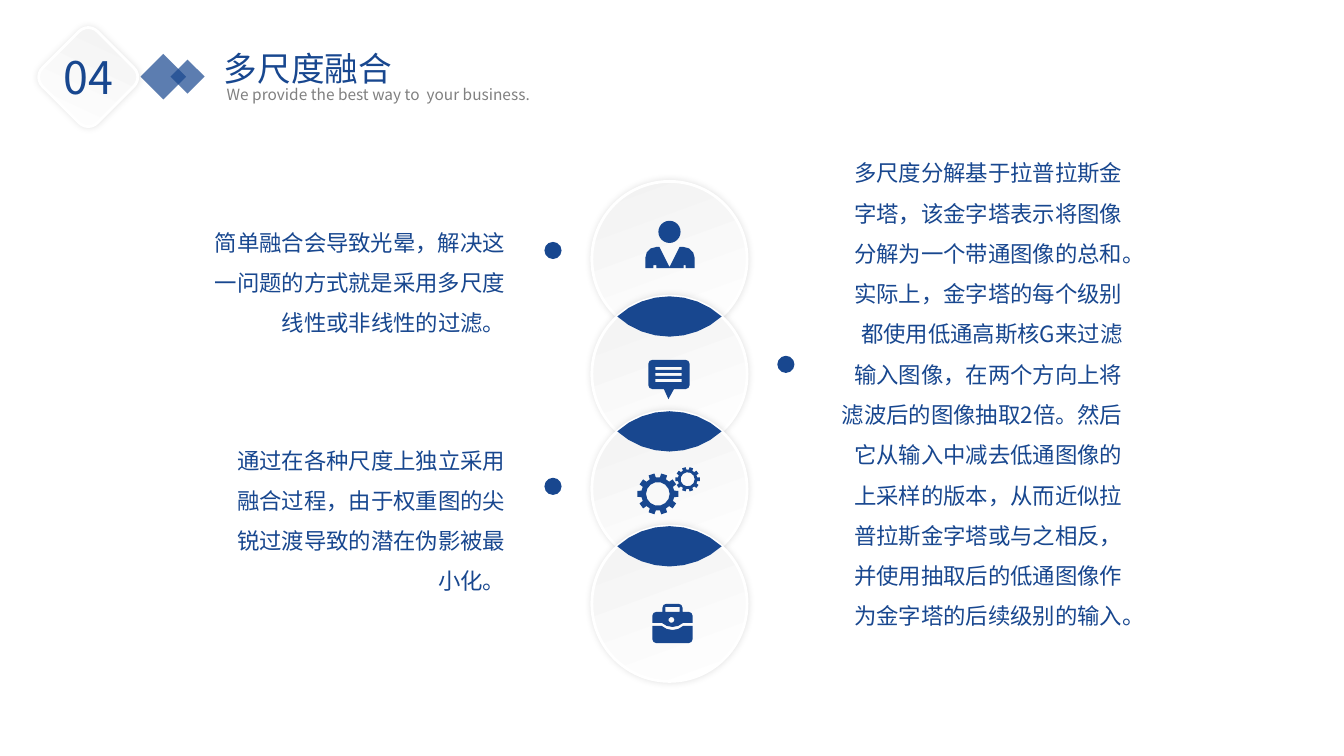
import math
import lxml.etree
import pptx
import pptx.util
import pptx.dml.color
import pptx.enum.shapes
import pptx.enum.text
import pptx.oxml.ns

PX = 9144
FINE = 100
FONT = "Noto Sans CJK SC"
BLUE = pptx.dml.color.RGBColor(0x18, 0x47, 0x8F)
GREY = pptx.dml.color.RGBColor(0x80, 0x80, 0x80)
PALE = pptx.dml.color.RGBColor(0xF2, 0xF2, 0xF2)
WHITE = pptx.dml.color.RGBColor(0xFF, 0xFF, 0xFF)
OVAL = pptx.enum.shapes.MSO_SHAPE.OVAL
SQUARE = pptx.enum.shapes.MSO_SHAPE.RECTANGLE
ROUNDED = pptx.enum.shapes.MSO_SHAPE.ROUNDED_RECTANGLE
LEFT = pptx.enum.text.PP_ALIGN.LEFT
RIGHT = pptx.enum.text.PP_ALIGN.RIGHT


def arc(x, y, radius, start, end):
    steps = max(2, round(abs(end - start) * math.sqrt(radius) / 90))
    angles = [math.radians(start + (end - start) * i / steps) for i in range(steps + 1)]
    return [(x + radius * math.cos(a), y + radius * math.sin(a)) for a in angles]


def draw(shapes, *contours):
    fine = [[(x * FINE, y * FINE) for x, y in contour] for contour in contours]
    builder = shapes.build_freeform(*fine[0][0], scale=PX / FINE)
    builder.add_line_segments(fine[0][1:], close=True)
    for hole in fine[1:]:
        builder.move_to(*hole[0])
        builder.add_line_segments(hole[1:], close=True)
    return builder.convert_to_shape()


deck = pptx.Presentation()
deck.slide_width = 1333 * PX
deck.slide_height = 750 * PX
slide = deck.slides.add_slide(deck.slide_layouts[5])
raised = []
flat = []

MIDDLE, RADIUS, STEP = 664, 77, 114
cross = math.degrees(math.asin(STEP / 2 / RADIUS))
for i in range(4):
    y = 257 + STEP * i
    raised.append(slide.shapes.add_shape(
        OVAL, (MIDDLE - RADIUS) * PX, (y - RADIUS) * PX, 2 * RADIUS * PX, 2 * RADIUS * PX))
    if i > 0:
        lens = arc(MIDDLE, y, RADIUS, cross - 180, -cross)
        lens += arc(MIDDLE, y - STEP, RADIUS, cross, 180 - cross)[1:-1]
        flat.append(draw(slide.shapes, lens))

person = slide.shapes.add_group_shape().shapes
flat.append(person.add_shape(OVAL, 653 * PX, 219 * PX, 22 * PX, 22 * PX))
suit = [(648, 266), (648, 263), (651, 263), (651, 266), (678, 266), (678, 263),
        (680, 263), (680, 266), (689, 266)]
suit += arc(678, 256, 11, 0, -90) + [(674, 245), (664, 265), (654, 245)]
suit += arc(651, 256, 11, 270, 180) + [(640, 266)]
flat.append(draw(person, suit))

gears = slide.shapes.add_group_shape().shapes
for x, y, tip, root, hub in [(652.5, 490, 20.5, 16.5, 11.7), (682, 475.5, 12.2, 9.7, 7)]:
    teeth = []
    for tooth in range(0, 360, 36):
        for turn, reach in [(-11, root), (-8.5, tip), (8.5, tip), (11, root)]:
            angle = math.radians(tooth + turn)
            teeth.append((x + reach * math.cos(angle), y + reach * math.sin(angle)))
    flat.append(draw(gears, teeth, arc(x, y, hub, 360, 0)))

briefcase = slide.shapes.add_group_shape().shapes
base = arc(667, 609, 16, 132, 48) + [(687, 621)]
base += arc(683, 634, 4, 0, 90) + arc(651, 634, 4, 90, 180) + [(647, 621)]
lid = [(647, 618)] + arc(651, 611, 4, 180, 270) + [(657, 607)]
lid += arc(661, 603, 4, 180, 270) + arc(673, 603, 4, 270, 360) + [(677, 607)]
lid += arc(683, 611, 4, 270, 360) + [(687, 618)] + arc(667, 606, 16, 48, 132)
handle = [(660, 602), (660, 607), (674, 607), (674, 602)]
flat.append(draw(briefcase, base))
flat.append(draw(briefcase, lid, handle, arc(666, 615, 3, 360, 0)))

message = slide.shapes.add_group_shape().shapes
flat.append(draw(message, [(663, 396), (658, 385), (669, 385)]))
bubble = arc(647, 361, 4, 180, 270) + arc(680, 361, 4, 270, 360)
bubble += arc(680, 382, 4, 0, 90) + arc(647, 382, 4, 90, 180)
rows = [[(650, y), (650, y + 3), (676, y + 3), (676, y)] for y in (364, 370, 376)]
flat.append(draw(message, bubble, *rows))

for x, y in [(540, 240), (771, 353), (540, 474)]:
    flat.append(slide.shapes.add_shape(OVAL, x * PX, y * PX, 17 * PX, 17 * PX))

diamonds = []
for x, y, side in [(146, 60, 32), (174, 64, 24)]:
    diamond = slide.shapes.add_shape(SQUARE, x * PX, y * PX, side * PX, side * PX)
    diamond.rotation = 225
    diamonds.append(diamond)

badge = slide.shapes.add_shape(ROUNDED, 49 * PX, 38 * PX, 77 * PX, 77 * PX)
badge.rotation = 45
raised.append(badge)

for shape in flat + diamonds:
    shape.shadow.inherit = False
    shape.fill.solid()
    shape.fill.fore_color.rgb = BLUE
    shape.line.fill.background()

for diamond in diamonds:
    tint = diamond._element.spPr.find(".//" + pptx.oxml.ns.qn("a:srgbClr"))
    lxml.etree.SubElement(tint, pptx.oxml.ns.qn("a:alpha"), val="70000")

for shape in raised:
    shape.fill.gradient()
    shape.fill.gradient_angle = 110
    for stop, colour in zip(shape.fill.gradient_stops, (WHITE, PALE)):
        stop.color.rgb = colour
    shape.line.color.rgb = WHITE
    shape.line.width = pptx.util.Pt(2)
    shape.shadow.inherit = False
    effects = shape._element.spPr.find(pptx.oxml.ns.qn("a:effectLst"))
    glow = lxml.etree.SubElement(effects, pptx.oxml.ns.qn("a:outerShdw"),
                                 blurRad="63500", dist="0", dir="0", algn="ctr")
    black = lxml.etree.SubElement(glow, pptx.oxml.ns.qn("a:srgbClr"), val="000000")
    lxml.etree.SubElement(black, pptx.oxml.ns.qn("a:alpha"), val="11000")

decomposition = (
    "多尺度分解基于拉普拉斯金字塔，该金字塔表示将图像分解为一个带通图像的总和。"
    "实际上，金字塔的每个级别都使用低通高斯核G来过滤输入图像，在两个方向上将滤波后的图像抽取2倍。"
    "然后它从输入中减去低通图像的上采样的版本，从而近似拉普拉斯金字塔或与之相反，"
    "并使用抽取后的低通图像作为金字塔的后续级别的输入。")
halo = "简单融合会导致光晕，解决这一问题的方式就是采用多尺度线性或非线性的过滤。"
scales = "通过在各种尺度上独立采用融合过程，由于权重图的尖锐过渡导致的潜在伪影被最小化。"
motto = "We provide the best way to  your business."
texts = [
    ((212, 43, 325, 50), "多尺度融合", 24, BLUE, LEFT, 1),
    ((824, 140, 299, 490), decomposition, 16, BLUE, RIGHT, 1.5),
    ((185, 209, 326, 127), halo, 16, BLUE, RIGHT, 1.5),
    ((204, 425, 307, 167), scales, 16, BLUE, RIGHT, 1.5),
    ((215, 79, 402, 29), motto, 11, GREY, LEFT, 1),
    ((53, 44, 73, 64), "04", 32, BLUE, LEFT, 1),
]
for order, (place, words, size, colour, align, spacing) in enumerate(texts):
    left, top, width, height = [length * PX for length in place]
    if order == 0:
        box = slide.shapes.title
        box.left, box.top, box.width, box.height = left, top, width, height
    else:
        box = slide.shapes.add_textbox(left, top, width, height)
    frame = box.text_frame
    frame.word_wrap = words != "04"
    frame.auto_size = pptx.enum.text.MSO_AUTO_SIZE.SHAPE_TO_FIT_TEXT
    frame.vertical_anchor = pptx.enum.text.MSO_ANCHOR.TOP
    paragraph = frame.paragraphs[0]
    paragraph.alignment = align
    paragraph.line_spacing = spacing
    run = paragraph.add_run()
    run.text = words
    run.font.size = pptx.util.Pt(size)
    run.font.color.rgb = colour
    run.font.name = FONT
    lxml.etree.SubElement(run.font._element, pptx.oxml.ns.qn("a:ea"), typeface=FONT)

deck.save("out.pptx")
